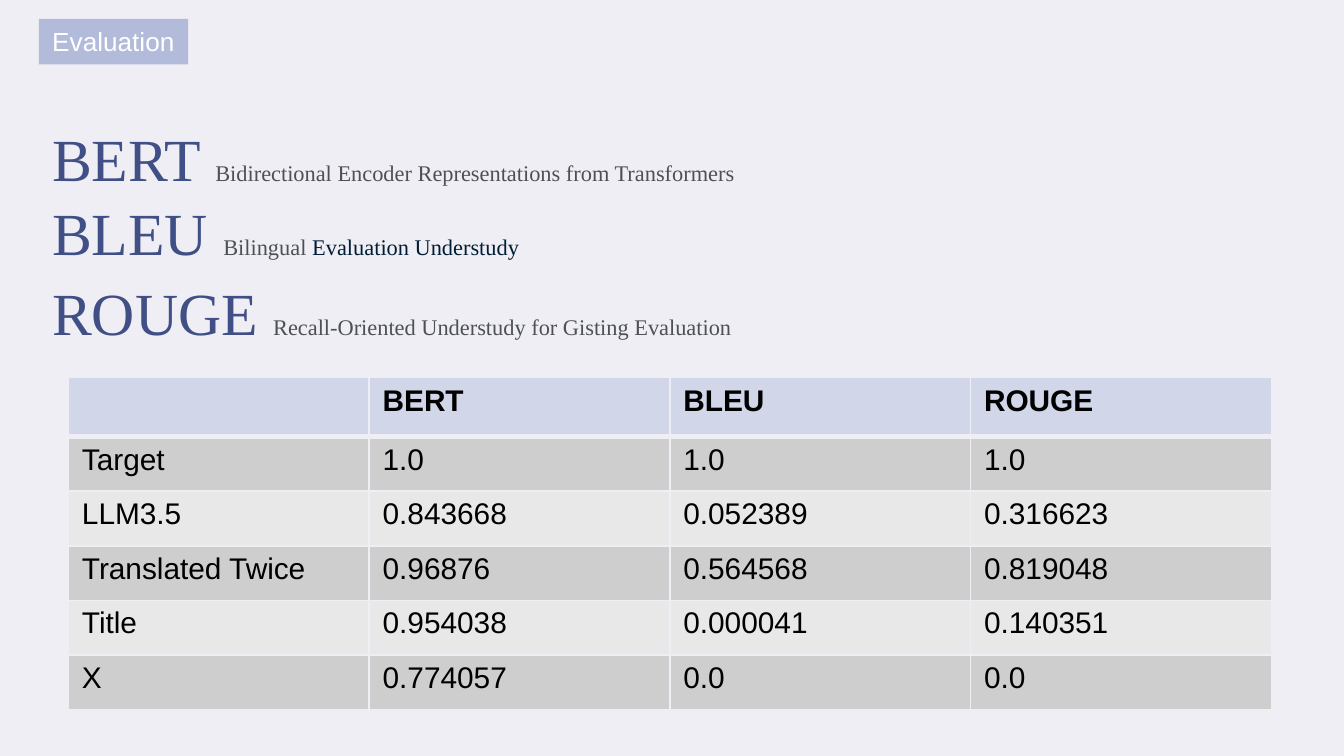
from pptx import Presentation
from pptx.dml.color import RGBColor as RGB
from pptx.enum.shapes import MSO_SHAPE as Shape
from pptx.enum.text import MSO_ANCHOR as Anchor, PP_ALIGN as Align
from pptx.oxml import parse_xml
from pptx.oxml.ns import nsdecls
from pptx.util import Inches, Pt

# Content
TAG = "Evaluation"
TERMS = [  # top, height, runs as (text, size, colour)
    (1.41, 1.18, [("BLEU ", 32, "term"), ("Bilingual", 12, "gray"),
                  (" Evaluation Understudy", 12, "navy")]),
    (0.86, 0.64, [("BERT ", 32, "term"),
                  ("Bidirectional Encoder Representations from Transformers", 12, "gray")]),
    (2.0, 0.84, [("ROUGE ", 32, "term"),
                 ("Recall-Oriented Understudy for Gisting Evaluation", 12, "gray")]),
]
SCORES = [
    ("", "BERT", "BLEU", "ROUGE"),
    ("Target", "1.0", "1.0", "1.0"),
    ("LLM3.5", "0.843668", "0.052389", "0.316623"),
    ("Translated Twice", "0.96876", "0.564568", "0.819048"),
    ("Title", "0.954038", "0.000041", "0.140351"),
    ("X", "0.774057", "0.0", "0.0"),
]
COLORS = {"back": "EFEEF4", "tag": "B2BBDA", "term": "405086", "gray": "4D5156",
          "navy": "001D35", "head": "D1D6E9", "odd": "CDCECD", "even": "E8E8E8",
          "white": "FFFFFF", "black": "000000"}
WIDE = 10
HIGH = WIDE * 9 / 16
LEFT = 0.29


def paint(fill, key):
    fill.solid()
    fill.fore_color.rgb = RGB.from_string(COLORS[key])


def style(run, size, key, face="Arial", bold=False):
    font = run.font
    font.size, font.name, font.bold = Pt(size), face, bold
    font.color.rgb = RGB.from_string(COLORS[key])


def edge(side, width):
    """Return one cell border line."""
    return parse_xml(
        f'<a:{side} {nsdecls("a")} w="{Pt(width)}"><a:solidFill>'
        f'<a:srgbClr val="{COLORS["back"]}"/></a:solidFill></a:{side}>')


def define(shapes, top, tall, runs):
    """Write one metric name with its long form."""
    box = shapes.add_textbox(Inches(LEFT), Inches(top), Inches(6.76), Inches(tall))
    box.text_frame.word_wrap = True
    para = box.text_frame.paragraphs[0]
    para.text = ""
    for text, size, key in runs:
        run = para.add_run()
        run.text = text
        style(run, size, key, "Times New Roman")
    return box


deck = Presentation()
deck.slide_width, deck.slide_height = Inches(WIDE), Inches(HIGH)
slide = deck.slides.add_slide(deck.slide_layouts[6])
paint(slide.background.fill, "back")

# Metric names, spelled out; the first box is narrower and lies at the back
first, *rest = TERMS
define(slide.shapes, *first).width = Inches(5.44)

# Section tag
tag = slide.shapes.add_shape(Shape.RECTANGLE, Inches(LEFT), Inches(0.14),
                             Inches(1.11), Inches(0.34))
tag.shadow.inherit = False
paint(tag.fill, "tag")
tag.line.fill.background()
frame = tag.text_frame
frame.word_wrap = False
frame.vertical_anchor = Anchor.TOP
frame.text = TAG
para = frame.paragraphs[0]
para.alignment = Align.LEFT
style(para.runs[0], 14, "white")

for term in rest:
    define(slide.shapes, *term)

# Score table
rows, cols = len(SCORES), len(SCORES[0])
span, total, head = 8.95, 2.47, 0.44
heights = [head] + [(total - head) / (rows - 1)] * (rows - 1)
table = slide.shapes.add_table(rows, cols, Inches(0.51), Inches(2.81),
                               Inches(span), Inches(total)).table
for col in table.columns:
    col.width = Inches(span / cols)
for r, (tall, row) in enumerate(zip(heights, SCORES)):
    table.rows[r].height = Inches(tall)
    for c, text in enumerate(row):
        cell = table.cell(r, c)
        cell.text = text
        for run in cell.text_frame.paragraphs[0].runs:
            style(run, 16, "black", bold=r == 0)
        paint(cell.fill, "head" if r == 0 else "odd" if r % 2 else "even")
        props = cell._tc.get_or_add_tcPr()
        for n, side in enumerate(("lnL", "lnR", "lnT", "lnB")):
            thick = (r, side) in ((0, "lnB"), (1, "lnT"))
            props.insert(n, edge(side, 3 if thick else 1))

deck.save("out.pptx")
